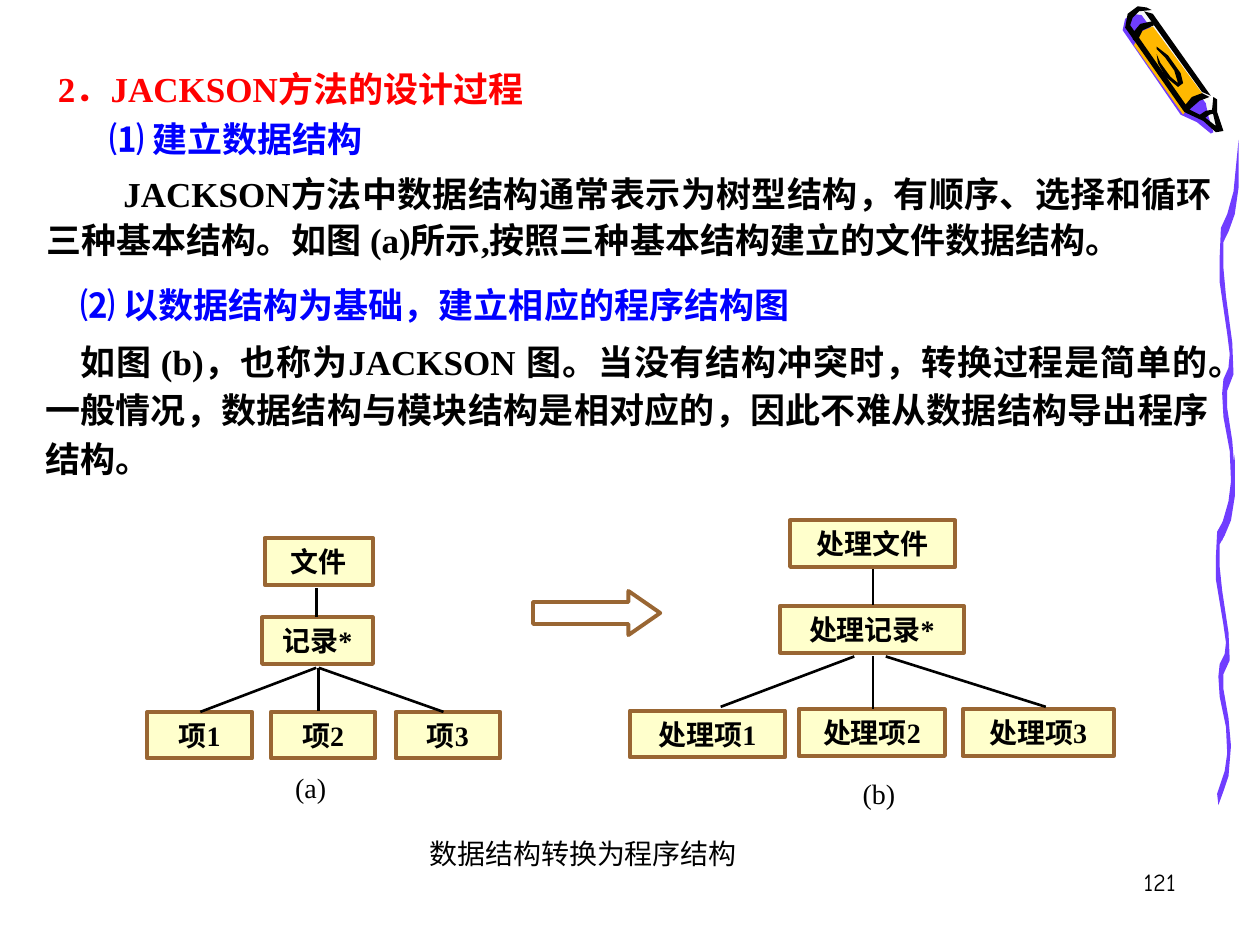
from dataclasses import dataclass

from lxml import etree
from pptx import Presentation
from pptx import util as u
from pptx.dml.color import RGBColor
from pptx.enum import shapes, text
from pptx.oxml.ns import qn

PX = 9144  # 100 px to the inch


@dataclass(frozen=True)
class Theme:
    latin: str = "Times New Roman"
    asian: str = "Noto Sans CJK SC"
    number_font: str = "Comic Neue"
    ink: str = "000000"
    title: str = "FF0000"
    heading: str = "0000FF"
    box_fill: str = "FFFFCC"
    box_line: str = "996633"
    white: str = "FFFFFF"
    purple: str = "703DFF"
    orange: str = "FFB800"
    glint: str = "F8F8F8"
    body_size: int = 20
    label_size: int = 16
    number_size: int = 14


THEME = Theme()
LEFT, CENTER, RIGHT, JUSTIFY = (
    text.PP_ALIGN.LEFT, text.PP_ALIGN.CENTER, text.PP_ALIGN.RIGHT, text.PP_ALIGN.JUSTIFY)

# Outlines are x, y pairs in px.
WAVE = """966,630 972,612 974,598 973,577 968,553 967,537 968,527 972,519 973,510 971,496
 965,460 965,442 966,422 971,413 976,397 980,361 980,394 977,413 972,425 968,432 968,450
 970,469 975,502 976,524 971,535 971,547 975,570 977,592 975,616 971,628 967,639"""
PENCIL = [
    (THEME.glint, """968,100 963,86 953,64 911,7 904,6 897,11 896,20 941,86 956,93 966,102"""),
    (THEME.purple, """906,12 957,82 959,92 963,105 961,106 950,97 937,91 891,24 893,15 899,11"""),
    (THEME.orange, "900,36 939,91 947,80 957,78 915,21 906,25"),
    (THEME.ink, "963,87 957,88 951,92 956,94 960,91 964,90"),
    (THEME.ink, """910,6 903,5 895,11 893,22 940,89 955,96 965,105 971,104 966,89 966,79 963,77
     962,87 965,100 956,93 944,87 952,80 960,77 954,74 946,77 941,83 897,20 899,14 904,9 914,8"""),
    (THEME.ink, "915,11 961,76 954,73 908,9"),
    (THEME.ink, "914,17 905,19 900,25 899,31 902,34 907,24 916,20"),
    (THEME.ink, """918,39 925,46 932,56 935,66 929,61 921,50 918,43 919,50 925,61 935,69
     939,66 937,58 927,44 918,37"""),
]


def emu(*lengths):
    return [u.Emu(round(length * PX)) for length in lengths]


def color(value):
    return RGBColor.from_string(value)


def format_paragraph(paragraph, size, ink=THEME.ink, bold=False, align=LEFT,
                     font=THEME.latin, spacing=None, indent=0):
    properties = paragraph._p.get_or_add_pPr()
    if indent:
        properties.set("marL", "0")
        properties.set("indent", str(indent * PX))
    paragraph.alignment = align
    if spacing:
        paragraph.line_spacing = spacing
    paragraph.font.name = font
    paragraph.font.size = u.Pt(size)
    paragraph.font.bold = bold
    paragraph.font.color.rgb = color(ink)
    latin = properties.find(qn("a:defRPr")).find(qn("a:latin"))
    asian = etree.Element(qn("a:ea"), typeface=THEME.asian)
    latin.addnext(asian)


def set_frame(frame, anchor, margins=(10, 5)):
    frame.word_wrap = True
    frame.vertical_anchor = anchor
    frame.margin_left = frame.margin_right = emu(margins[0])[0]
    frame.margin_top = frame.margin_bottom = emu(margins[1])[0]


def add_label(container, box, words, margins=(0, 0), anchor=text.MSO_ANCHOR.MIDDLE,
              size=THEME.label_size, **style):
    frame = container.add_textbox(*emu(*box)).text_frame
    set_frame(frame, anchor, margins)
    frame.text = words
    format_paragraph(frame.paragraphs[0], size, **style)


def add_outline(container, points, fill):
    builder = container.build_freeform(*points[0], scale=PX)
    builder.add_line_segments(points[1:], close=True)
    shape = builder.convert_to_shape()
    shape.shadow.inherit = False
    shape.fill.solid()
    shape.fill.fore_color.rgb = color(fill)
    shape.line.fill.background()


def read_points(outline):
    return [tuple(map(int, pair.split(","))) for pair in outline.split()]


def add_decoration(slide):
    wave = slide.shapes.add_group_shape().shapes
    lower = read_points(WAVE)
    upper = [(x + 3, round((y - 361) * 318 / 278 + 111)) for x, y in lower]
    for points in (lower, upper):
        add_outline(wave, points, THEME.purple)
    pencil = slide.shapes.add_group_shape().shapes
    for fill, outline in PENCIL:
        add_outline(pencil, read_points(outline), fill)


def add_title(slide, box, words):
    title = slide.shapes.title
    title.left, title.top, title.width, title.height = emu(*box)
    title.text_frame.text = words
    set_frame(title.text_frame, text.MSO_ANCHOR.BOTTOM)
    format_paragraph(title.text_frame.paragraphs[0], THEME.body_size, THEME.title, True)


def add_section(slide, box, marker, heading, body, indents, body_spacing):
    """Blue numbered heading above a justified paragraph."""
    frame = slide.shapes.add_textbox(*emu(*box)).text_frame
    set_frame(frame, text.MSO_ANCHOR.TOP)
    first, second = frame.paragraphs[0], frame.add_paragraph()
    number = first.add_run()
    number.text = marker + " "
    number.font.name = THEME.asian
    first.add_run().text = heading
    second.text = body
    second.space_before = u.Pt(5)
    format_paragraph(first, THEME.body_size, THEME.heading, True, spacing=1.15, indent=indents[0])
    format_paragraph(second, THEME.body_size, bold=True, align=JUSTIFY,
                     spacing=body_spacing, indent=indents[1])


def add_block(container, kind, box, fill):
    shape = container.add_shape(kind, *emu(*box))
    shape.shadow.inherit = False
    shape.fill.solid()
    shape.fill.fore_color.rgb = color(fill)
    shape.line.color.rgb = color(THEME.box_line)
    shape.line.width = u.Pt(2.25)
    return shape


def add_link(container, start, end):
    link = container.add_connector(shapes.MSO_CONNECTOR.STRAIGHT, *emu(*start, *end))
    link.line.color.rgb = color(THEME.ink)
    link.line.width = u.Pt(1.5)
    etree.SubElement(link._element.spPr, qn("a:effectLst"))


def add_tree(slide, left, top, nodes, links, caption):
    """Nodes are (label, x, y, width), links (x1, y1, x2, y2), from the tree's corner."""
    tree = slide.shapes.add_group_shape().shapes
    for label, x, y, width in nodes:
        box = (left + x, top + y, width, 37)
        node = add_block(tree, shapes.MSO_SHAPE.RECTANGLE, box, THEME.box_fill)
        set_frame(node.text_frame, text.MSO_ANCHOR.MIDDLE)
        node.text_frame.text = label
        format_paragraph(node.text_frame.paragraphs[0], THEME.label_size, bold=True, align=CENTER)
    for x1, y1, x2, y2 in links:
        add_link(tree, (left + x1, top + y1), (left + x2, top + y2))
    words, x, y, width, height = caption
    add_label(tree, (left + x, top + y, width, height), words, align=CENTER)


def main():
    presentation = Presentation()
    presentation.slide_width, presentation.slide_height = emu(1000, 750)
    slide = presentation.slides.add_slide(presentation.slide_layouts[5])
    add_decoration(slide)
    add_label(slide.shapes, (735, 683, 208, 50), "121", (10, 5), text.MSO_ANCHOR.TOP,
              THEME.number_size, align=RIGHT, font=THEME.number_font)
    add_title(slide, (36, 31, 611, 61), "2．JACKSON方法的设计过程")
    add_section(slide, (27, 83, 945, 129), "⑴", "建立数据结构",
                "JACKSON方法中数据结构通常表示为树型结构，有顺序、选择和循环三种基本结构。"
                "如图 (a)所示,按照三种基本结构建立的文件数据结构。", (50, 61), 1.1)
    add_section(slide, (26, 215, 943, 171), "⑵", "以数据结构为基础，建立相应的程序结构图",
                "如图 (b)，也称为JACKSON 图。当没有结构冲突时，转换过程是简单的。一般情况，"
                "数据结构与模块结构是相对应的，因此不难从数据结构导出程序结构。", (28, 28), 1.15)
    add_label(slide.shapes, (341, 655, 318, 44), "数据结构转换为程序结构")
    arrow = add_block(slide.shapes, shapes.MSO_SHAPE.RIGHT_ARROW, (423, 469, 101, 35), THEME.white)
    arrow.adjustments[1] = 0.72
    add_tree(slide, 117, 427,
             [("文件", 93, 0, 86), ("记录*", 91, 63, 88)]
             + [(f"项{i + 1}", round(98.5 * i), 138, 83) for i in range(3)],
             [(134, 40, 134, 63), (136, 103, 136, 137), (134, 103, 42, 138), (136, 103, 235, 138)],
             ("(a)", 67, 186, 125, 24))
    add_tree(slide, 500, 413,
             [("处理文件", 127, 0, 131), ("处理记录*", 119, 68, 146), ("处理项1", 0, 151, 123),
              ("处理项2", 134, 150, 116), ("处理项3", 264, 150, 120)],
             [(193, 39, 193, 67), (193, 108, 193, 150), (178, 108, 72, 148), (203, 108, 330, 148)],
             ("(b)", 125, 199, 145, 35))
    presentation.save("out.pptx")


if __name__ == "__main__":
    main()
